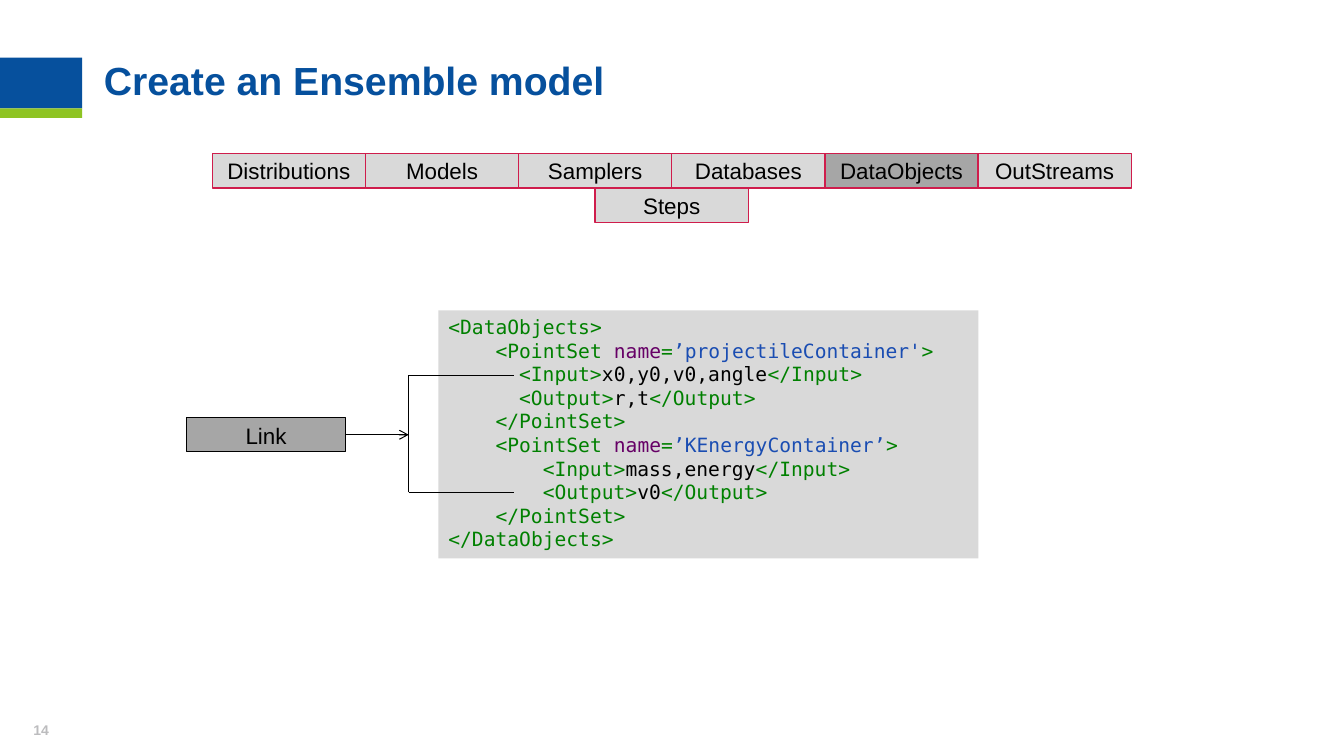
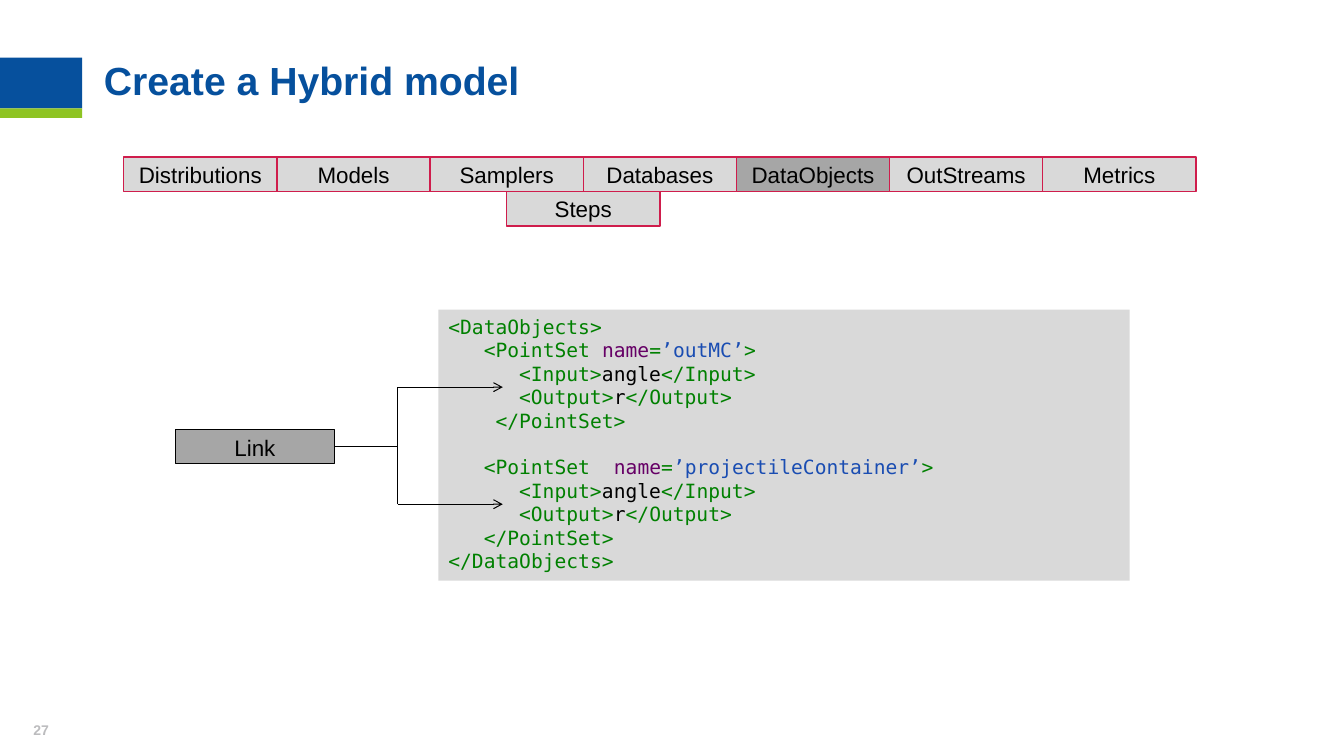
from lxml import etree
from pptx import Presentation
from pptx.dml.color import RGBColor
from pptx.enum import shapes, text
from pptx.oxml import ns
from pptx.util import Cm, Pt

BLUE = RGBColor(0x06, 0x50, 0x9D)
LIME = RGBColor(0x8E, 0xC4, 0x23)
PALE = RGBColor(0xD9, 0xD9, 0xD9)
GRAY = RGBColor(0xA6, 0xA6, 0xA6)
FAINT = RGBColor(0xBC, 0xBC, 0xBE)
RED = RGBColor(0xCF, 0x1D, 0x4C)
BLACK = RGBColor(0, 0, 0)
TAG = RGBColor(0x00, 0x80, 0x00)
KEY = RGBColor(0x66, 0x00, 0x66)
VALUE = RGBColor(0x1A, 0x4D, 0xB2)

SANS, MONO = "Arial", "DejaVu Sans Mono"
LEFT, CENTER = text.PP_ALIGN.LEFT, text.PP_ALIGN.CENTER
TOP, MIDDLE = text.MSO_ANCHOR.TOP, text.MSO_ANCHOR.MIDDLE
TAB_W, BOX_H, LINK_W = 3.86, 0.87, 4.01
CHAR_W, LINE_H = Pt(8.43), Pt(16.3)
TABS = ["Distributions", "Models", "Samplers", "Databases",
        "DataObjects", "OutStreams"]


def style(para, size, color, font=SANS, bold=False, align=CENTER):
    para.alignment = align
    para.font.name = font
    para.font.size = Pt(size)
    para.font.bold = bold
    para.font.color.rgb = color


def rect(slide, x, y, w, h, fill, line=None, width=1):
    box = slide.shapes.add_shape(shapes.MSO_SHAPE.RECTANGLE,
                                 Cm(x), Cm(y), Cm(w), Cm(h))
    box.shadow.inherit = False
    box.fill.solid()
    box.fill.fore_color.rgb = fill
    if line is None:
        box.line.fill.background()
    else:
        box.line.color.rgb = line
        box.line.width = Pt(width)
    return box


def label(box, words, anchor=MIDDLE):
    frame = box.text_frame
    frame.vertical_anchor = anchor
    frame.text = words
    style(frame.paragraphs[0], 16, BLACK)


def write(slide, x, y, w, h, words, insets):
    """Add a text box and return its frame."""
    frame = slide.shapes.add_textbox(Cm(x), Cm(y), Cm(w), Cm(h)).text_frame
    frame.word_wrap = True
    (frame.margin_left, frame.margin_top,
     frame.margin_right, frame.margin_bottom) = map(Cm, insets)
    frame.text = words
    return frame


def line(slide, x1, y1, x2, y2, arrow=False):
    link = slide.shapes.add_connector(shapes.MSO_CONNECTOR.STRAIGHT,
                                      Cm(x1), Cm(y1), Cm(x2), Cm(y2))
    link.line.color.rgb = BLACK
    link.line.width = Pt(0.75)
    if arrow:
        stroke = link.line._get_or_add_ln()
        etree.SubElement(stroke, ns.qn("a:tailEnd"), type="arrow")
    etree.SubElement(link._element.spPr, ns.qn("a:effectLst"))


def start(deck, title, number):
    """Add a slide with its bands, title and page number."""
    slide = deck.slides.add_slide(deck.slide_layouts[6])
    rect(slide, 0, 1.45, 2.07, 1.28, BLUE)
    rect(slide, 0, 2.73, 2.07, 0.24, LIME)
    head = write(slide, 2.62, 1.55, 28.93, 1.42, title, (0, 0, 0.25, 0.13))
    head.paragraphs[0].line_spacing = 0.9
    style(head.paragraphs[0], 28, BLUE, bold=True, align=LEFT)
    foot = write(slide, 0.43, 18.03, 1.22, 1.02, number,
                 (0.25, 0.13, 0.25, 0.43))
    foot.vertical_anchor = MIDDLE
    style(foot.paragraphs[0], 10, FAINT, bold=True)
    return slide


def menu(slide, x, y, names):
    """Draw the row of tabs, with Steps centred under the third and fourth."""
    for i, name in enumerate(names):
        fill = GRAY if name == "DataObjects" else PALE
        label(rect(slide, x + i * TAB_W, y, TAB_W, BOX_H, fill, RED), name)
    label(rect(slide, x + 2.5 * TAB_W, y + BOX_H, TAB_W, BOX_H, PALE, RED),
          "Steps")


def tag(name):
    return [(f"<{name}>", TAG)]


def leaf(name, words):
    return tag(name) + [(words, BLACK)] + tag("/" + name)


def point(value, gap=" "):
    """Give the opening tag of a PointSet."""
    return [("<PointSet" + gap, TAG), ("name", KEY), ("=", TAG),
            (value, VALUE), (">", TAG)]


def code(slide, y, w, h, rows, split=None):
    """Draw rows of (indent, pieces); a one-line gap precedes row split."""
    frame = rect(slide, 11.05, y, w, h, PALE).text_frame
    frame.vertical_anchor = TOP
    frame.word_wrap = True
    for i, (indent, pieces) in enumerate(rows):
        para = frame.add_paragraph() if i else frame.paragraphs[0]
        style(para, 14, TAG, MONO, align=LEFT)
        para._p.get_or_add_pPr().set("marL", str(int(indent * CHAR_W)))
        if i == split:
            para.space_before = LINE_H
        for words, color in pieces:
            run = para.add_run()
            run.text = words
            if color != TAG:
                run.font.color.rgb = color


def fork(slide, x, y, out):
    """Draw the Link box and its fork; arrows end the arms if out."""
    mid = y + BOX_H / 2
    stem = x + LINK_W
    bar = stem + 1.59
    high, low = mid - 1.5, mid + 1.45
    line(slide, stem, mid, bar, mid, not out)
    line(slide, bar, low, bar, high)
    for arm in (high, low):
        line(slide, bar, arm, bar + 2.65, arm, out)
    label(rect(slide, x, y, LINK_W, BOX_H, GRAY, BLACK, 0.75), "Link", TOP)


def main():
    deck = Presentation()
    deck.slide_width, deck.slide_height = Cm(33.87), Cm(19.05)

    slide = start(deck, "Create an Ensemble model", "14")
    code(slide, 7.82, 13.61, 6.25, [
        (0, tag("DataObjects")),
        (4, point("’projectileContainer'")),
        (6, leaf("Input", "x0,y0,v0,angle")),
        (6, leaf("Output", "r,t")),
        (4, tag("/PointSet")),
        (4, point("’KEnergyContainer’")),
        (8, leaf("Input", "mass,energy")),
        (8, leaf("Output", "v0")),
        (4, tag("/PointSet")),
        (0, tag("/DataObjects")),
    ])
    fork(slide, 4.7, 10.52, out=False)
    menu(slide, 5.35, 3.87, TABS)

    slide = start(deck, "Create a Hybrid model", "27")
    body = [(6, leaf("Input", "angle")), (6, leaf("Output", "r"))]
    code(slide, 7.8, 17.42, 6.83, [
        (0, tag("DataObjects")),
        (3, point("’outMC’")),
        *body,
        (4, tag("/PointSet")),
        (3, point("’projectileContainer’", gap="  ")),
        *body,
        (3, tag("/PointSet")),
        (0, tag("/DataObjects")),
    ], split=5)
    fork(slide, 4.42, 10.82, out=True)
    menu(slide, 3.12, 3.96, TABS + ["Metrics"])

    deck.save("out.pptx")


if __name__ == "__main__":
    main()
